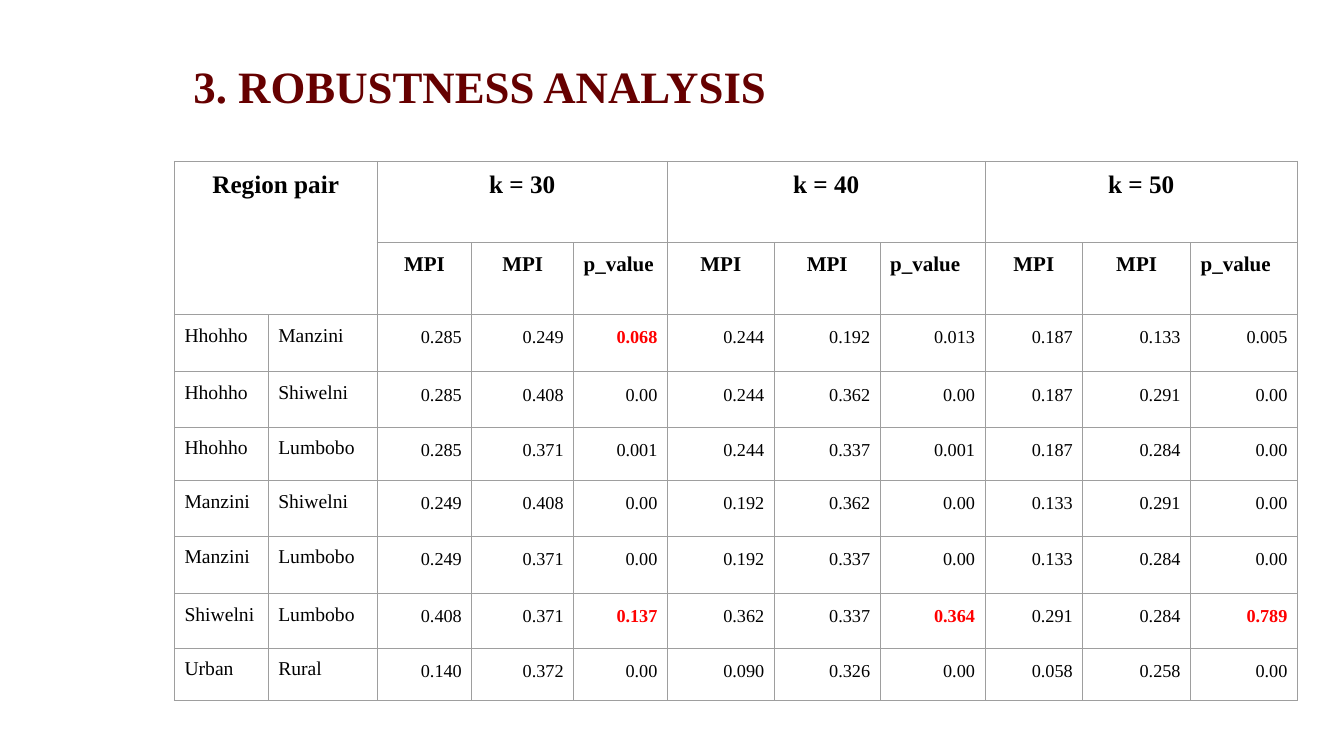
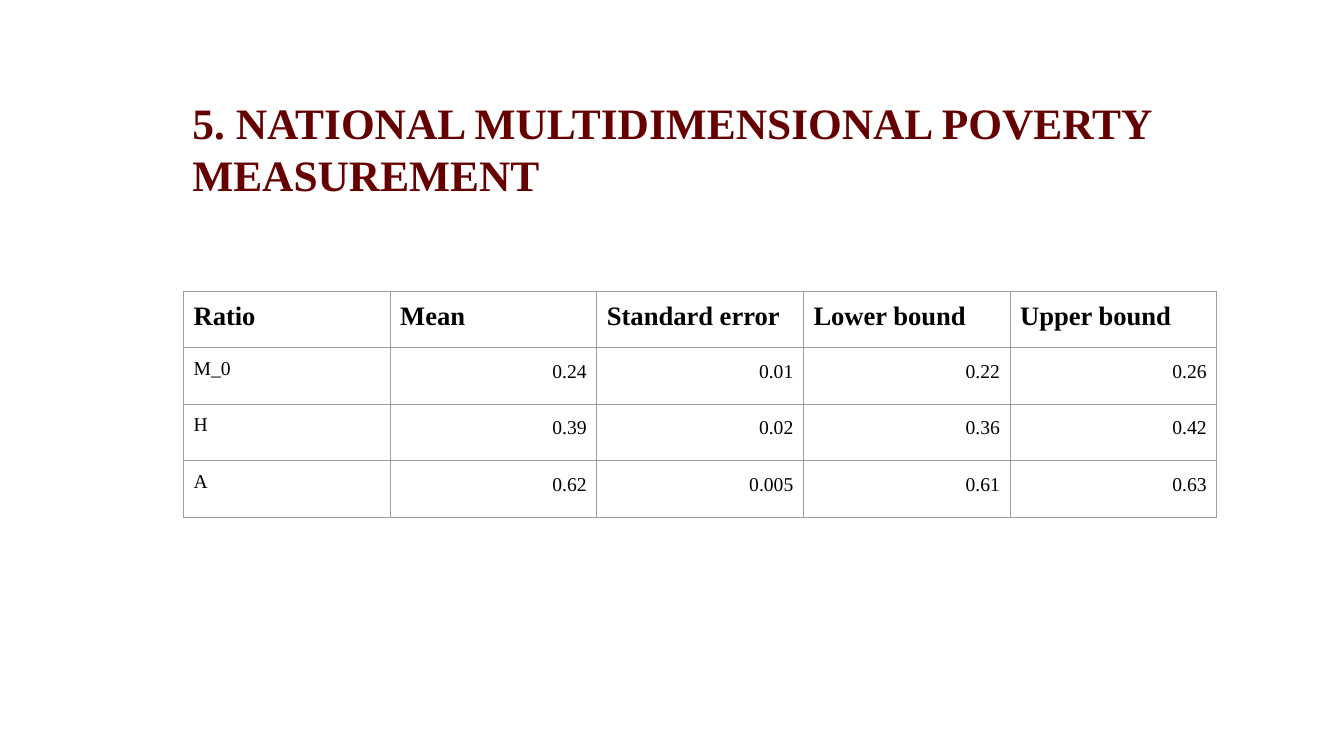
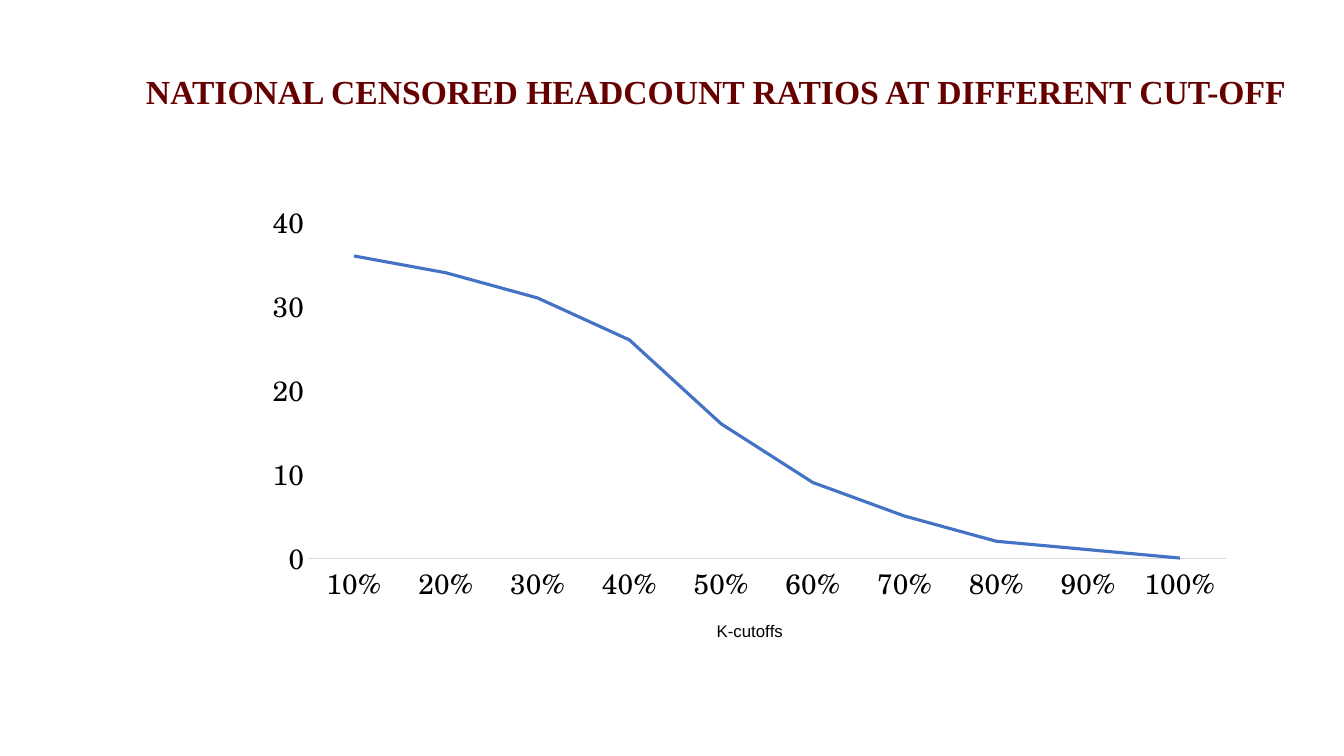
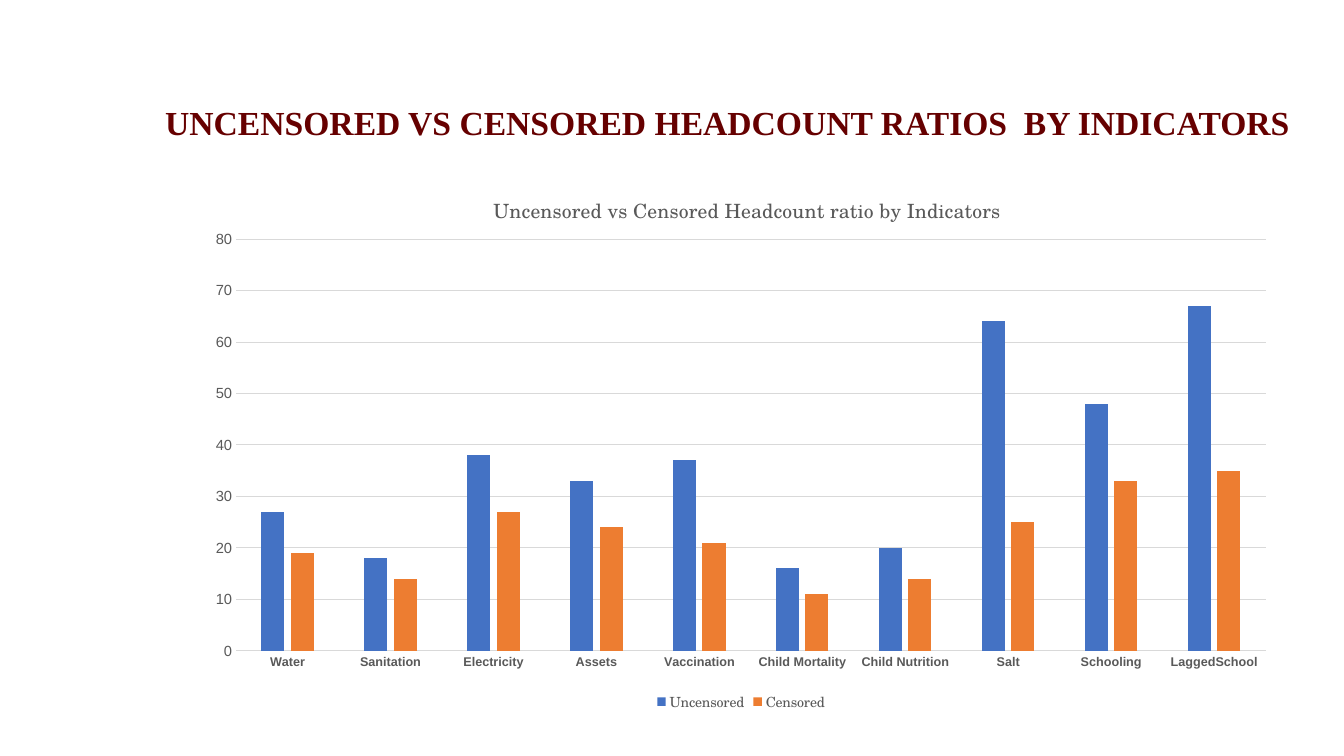
import pptx
import pptx.chart.data
import pptx.dml.color
import pptx.enum.chart
import pptx.enum.text
import pptx.oxml.ns
import pptx.util
from lxml import etree

Inches = pptx.util.Inches
Pt = pptx.util.Pt
qn = pptx.oxml.ns.qn
ALIGN = pptx.enum.text.PP_ALIGN
CHART_TYPE = pptx.enum.chart.XL_CHART_TYPE
NO_TICK = pptx.enum.chart.XL_TICK_MARK.NONE

COLORS = {
    "title": "660000", "text": "000000", "alert": "FF0000", "border": "9E9E9E",
    "axis": "D9D9D9", "muted": "595959", "blue": "4472C4", "orange": "ED7D31",
}
RGB = {name: pptx.dml.color.RGBColor.from_string(value) for name, value in COLORS.items()}
SERIF, SANS, SCHOLA = "Times New Roman", "Arial", "TeX Gyre Schola"


def write_text(text_frame, text, size, font=SERIF, color="text", bold=False,
               align=ALIGN.LEFT, line_spacing=None):
    paragraph = text_frame.paragraphs[0]
    paragraph.alignment = align
    paragraph.line_spacing = line_spacing
    run = paragraph.add_run()
    run.text = text
    run.font.size = Pt(size)
    run.font.name = font
    run.font.bold = bold
    run.font.color.rgb = RGB[color]


def set_layout(element, position, **settings):
    """Give a chart part a manual layout, as fractions of the chart."""
    layout = element.find(qn("c:layout"))
    if layout is None:
        layout = etree.Element(qn("c:layout"))
        element.insert(position, layout)
    for child in list(layout):
        layout.remove(child)
    manual = etree.SubElement(layout, qn("c:manualLayout"))
    for name, value in settings.items():
        etree.SubElement(manual, qn("c:" + name), val=str(value))


presentation = pptx.Presentation()
presentation.slide_width = Inches(13.33)
presentation.slide_height = Inches(7.5)

# Slides with their titles: text, size, left, top, width, height
titles = [
    ("3. ROBUSTNESS ANALYSIS", 32, 1.82, 0.53, 10.2, 1.18),
    ("5. NATIONAL MULTIDIMENSIONAL POVERTY MEASUREMENT", 31, 1.81, 0.9, 10.81, 1.14),
    ("NATIONAL CENSORED HEADCOUNT RATIOS AT DIFFERENT CUT-OFF", 24, 1.35, 0.65, 11.93, 0.5),
    ("UNCENSORED VS CENSORED HEADCOUNT RATIOS  BY INDICATORS", 24, 1.54, 0.96, 11.76, 0.5),
]
slides = []
for text, size, *box in titles:
    slide = presentation.slides.add_slide(presentation.slide_layouts[6])
    title = slide.shapes.add_textbox(*map(Inches, box))
    title.text_frame.word_wrap = True
    write_text(title.text_frame, text, size, color="title", bold=True)
    slides.append(slide)

# Robustness data: MPI of each region and p-values of each pair at k = 30, 40, 50
cutoffs = (30, 40, 50)
region_mpi = {
    "Hhohho": ("0.285", "0.244", "0.187"),
    "Manzini": ("0.249", "0.192", "0.133"),
    "Shiwelni": ("0.408", "0.362", "0.291"),
    "Lumbobo": ("0.371", "0.337", "0.284"),
    "Urban": ("0.140", "0.090", "0.058"),
    "Rural": ("0.372", "0.326", "0.258"),
}
pair_p_values = [
    ("Hhohho", "Manzini", ("0.068", "0.013", "0.005")),
    ("Hhohho", "Shiwelni", ("0.00", "0.00", "0.00")),
    ("Hhohho", "Lumbobo", ("0.001", "0.001", "0.00")),
    ("Manzini", "Shiwelni", ("0.00", "0.00", "0.00")),
    ("Manzini", "Lumbobo", ("0.00", "0.00", "0.00")),
    ("Shiwelni", "Lumbobo", ("0.137", "0.364", "0.789")),
    ("Urban", "Rural", ("0.00", "0.00", "0.00")),
]
robustness_rows = [["Region pair", ""], ["", ""]]
for cutoff in cutoffs:
    robustness_rows[0] += [f"k = {cutoff}", "", ""]
    robustness_rows[1] += ["MPI", "MPI", "p_value"]
for first, second, p_values in pair_p_values:
    row = [first, second]
    for values in zip(region_mpi[first], region_mpi[second], p_values):
        row += values
    robustness_rows.append(row)

national_rows = [
    ["Ratio", "Mean", "Standard error", "Lower bound", "Upper bound"],
    ["M_0", "0.24", "0.01", "0.22", "0.26"],
    ["H", "0.39", "0.02", "0.36", "0.42"],
    ["A", "0.62", "0.005", "0.61", "0.63"],
]

# Both tables; header_sizes has one size for each header row
tables = [
    dict(slide=slides[0], rows=robustness_rows, left=1.73, top=1.6,
         widths=[0.93, 1.08, 0.94, 1.01, 0.93, 1.06, 1.05, 1.04, 0.97, 1.07, 1.06],
         heights=[0.81, 0.71, 0.57, 0.55, 0.53, 0.55, 0.57, 0.54, 0.52],
         header_sizes=[18, 15], centered={"Region pair", "k = 30", "k = 40", "k = 50", "MPI"},
         label_columns=2, number_size=13, alerts={"0.068", "0.137", "0.364", "0.789"},
         merges=[(0, 0, 1, 1)] + [(0, left, 0, left + 2) for left in (2, 5, 8)]),
    dict(slide=slides[1], rows=national_rows, left=1.82, top=2.89,
         widths=[2.05] * 5, heights=[0.56] * 4,
         header_sizes=[19], centered=set(),
         label_columns=1, number_size=14, alerts=set(), merges=[]),
]
for layout in tables:
    rows, widths, heights = layout["rows"], layout["widths"], layout["heights"]
    table = layout["slide"].shapes.add_table(
        len(rows), len(widths), Inches(layout["left"]), Inches(layout["top"]),
        Inches(sum(widths)), Inches(sum(heights))).table
    table.first_row = table.horz_banding = False
    for column, width in zip(table.columns, widths):
        column.width = Inches(width)
    for row, height in zip(table.rows, heights):
        row.height = Inches(height)
    for top, left, bottom, right in layout["merges"]:
        table.cell(top, left).merge(table.cell(bottom, right))

    for row_index, row in enumerate(rows):
        for column_index, text in enumerate(row):
            cell = table.cell(row_index, column_index)
            cell.margin_left = cell.margin_right = Inches(0.1)
            cell.margin_top = cell.margin_bottom = Inches(0.1)
            # Borders come before the fill
            properties = cell._tc.get_or_add_tcPr()
            for side in ("lnL", "lnR", "lnT", "lnB"):
                line = etree.SubElement(properties, qn("a:" + side), w=str(Pt(0.75)))
                fill = etree.SubElement(line, qn("a:solidFill"))
                etree.SubElement(fill, qn("a:srgbClr"), val=COLORS["border"])
            cell.fill.background()
            if not text:
                continue
            if row_index < len(layout["header_sizes"]):
                align = ALIGN.CENTER if text in layout["centered"] else ALIGN.LEFT
                write_text(cell.text_frame, text, layout["header_sizes"][row_index],
                           bold=True, align=align)
            elif column_index < layout["label_columns"]:
                write_text(cell.text_frame, text, 14)
            else:
                alert = text in layout["alerts"]
                write_text(cell.text_frame, text, layout["number_size"], bold=alert,
                           color="alert" if alert else "text",
                           align=ALIGN.RIGHT, line_spacing=1.15)

# Chart data
cutoff_data = pptx.chart.data.CategoryChartData()
cutoff_data.categories = [step / 10 for step in range(1, 11)]
cutoff_data.categories.number_format = "0%"
cutoff_data.add_series("Series 1", (36, 34, 31, 26, 16, 9, 5, 2, 1, 0))

indicator_data = pptx.chart.data.CategoryChartData()
indicator_data.categories = [
    "Water", "Sanitation", "Electricity", "Assets", "Vaccination", "Child Mortality",
    "Child Nutrition", "Salt", "Schooling", "LaggedSchool"]
indicator_data.add_series("Uncensored", (27, 18, 38, 33, 37, 16, 20, 64, 48, 67))
indicator_data.add_series("Censored", (19, 14, 27, 24, 21, 11, 14, 25, 33, 35))

# Both charts with the axis style they share
charts = []
chart_layouts = [
    dict(slide=slides[2], kind=CHART_TYPE.LINE, data=cutoff_data,
         box=(2.09, 1.97, 10.18, 4.47), plot=(0.095, 0.053, 0.894, 0.745),
         font=SCHOLA, color="text", sizes=(20, 20), maximum=40),
    dict(slide=slides[3], kind=CHART_TYPE.COLUMN_CLUSTERED, data=indicator_data,
         box=(1.93, 1.61, 10.84, 5.49), plot=(0.038, 0.139, 0.942, 0.744),
         font=SANS, color="muted", sizes=(9, 10.5), maximum=80),
]
for layout in chart_layouts:
    chart = layout["slide"].shapes.add_chart(
        layout["kind"], *map(Inches, layout["box"]), layout["data"]).chart
    chart.has_title = chart.has_legend = False
    chart.font.size = Pt(10)
    chart.font.name = SANS
    for axis, size in zip((chart.category_axis, chart.value_axis), layout["sizes"]):
        axis.major_tick_mark = axis.minor_tick_mark = NO_TICK
        axis.tick_labels.font.size = Pt(size)
        axis.tick_labels.font.name = layout["font"]
        axis.tick_labels.font.color.rgb = RGB[layout["color"]]
    chart.category_axis.format.line.color.rgb = RGB["axis"]
    chart.category_axis.format.line.width = Pt(0.75)
    chart.value_axis.format.line.fill.background()
    chart.value_axis.minimum_scale = 0
    chart.value_axis.maximum_scale = layout["maximum"]
    chart.value_axis.major_unit = 10
    x, y, width, height = layout["plot"]
    set_layout(chart._chartSpace.chart.plotArea, 0, layoutTarget="inner",
               xMode="edge", yMode="edge", x=x, y=y, w=width, h=height)
    charts.append(chart)
line_chart, column_chart = charts

# Line chart: headcount by cut-off
line_chart.value_axis.has_major_gridlines = False
line_chart.category_axis.tick_labels.number_format = "0%"
line_chart.category_axis.tick_labels.number_format_is_linked = False
axis_title = line_chart.category_axis.axis_title
write_text(axis_title.text_frame, "K-cutoffs", 12, font=SANS, align=ALIGN.CENTER)
set_layout(axis_title._element, 1, xMode="edge", yMode="edge", x=0.49, y=0.93)
series = line_chart.plots[0].series[0]
series.smooth = False
series.marker.style = pptx.enum.chart.XL_MARKER_STYLE.NONE
series.format.line.color.rgb = RGB["blue"]
series.format.line.width = Pt(2.25)

# Column chart: uncensored against censored
write_text(column_chart.chart_title.text_frame,
           "Uncensored vs Censored Headcount ratio by Indicators", 14,
           font=SCHOLA, color="muted", align=ALIGN.CENTER)
set_layout(column_chart.chart_title._element, 1, xMode="edge", yMode="edge", x=0.27, y=0.05)
column_chart.category_axis.tick_labels.font.bold = True
gridline = column_chart.value_axis.major_gridlines.format.line
gridline.color.rgb = RGB["axis"]
gridline.width = Pt(0.75)
plot = column_chart.plots[0]
plot.vary_by_categories = False
plot.gap_width = 219
plot.overlap = -27
for series, color in zip(plot.series, ("blue", "orange")):
    series.format.fill.solid()
    series.format.fill.fore_color.rgb = RGB[color]
column_chart.has_legend = True
legend = column_chart.legend
legend.position = pptx.enum.chart.XL_LEGEND_POSITION.BOTTOM
legend.include_in_layout = False
legend.font.size = Pt(10)
legend.font.name = SCHOLA
legend.font.color.rgb = RGB["muted"]

presentation.save("out.pptx")
